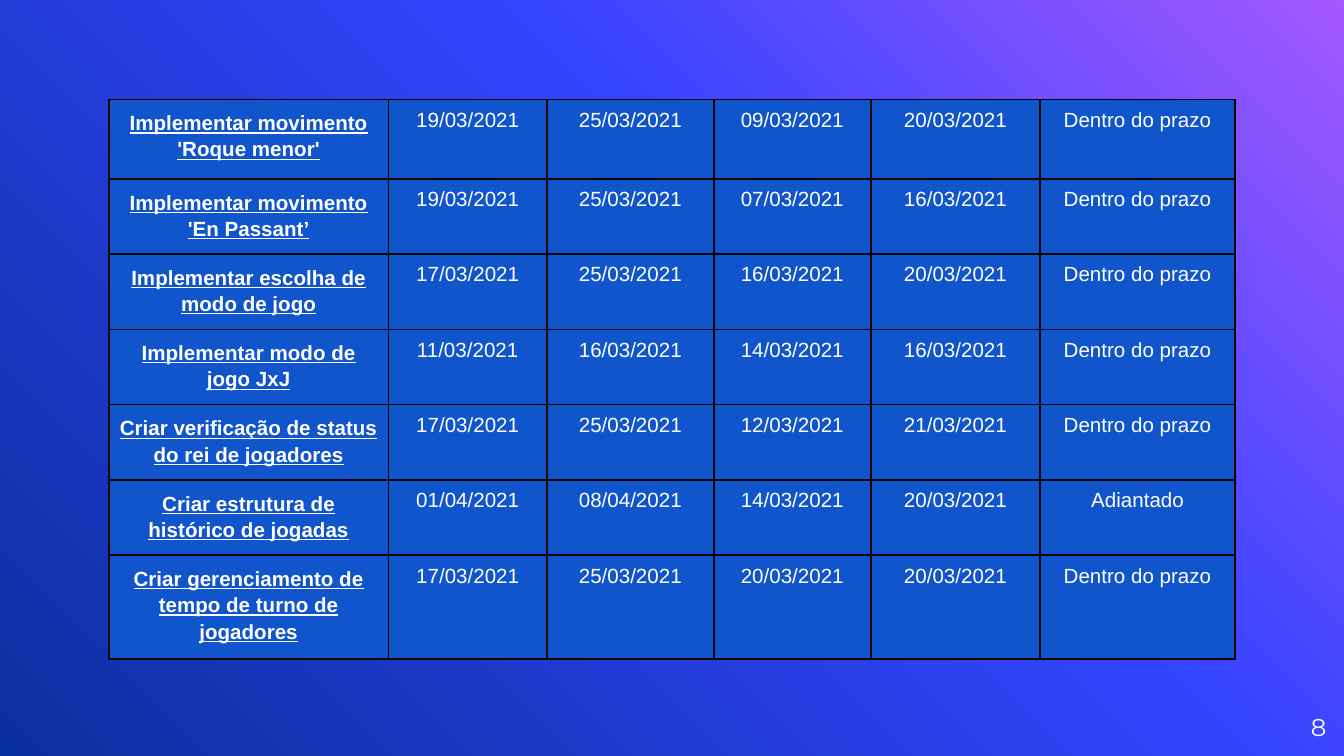
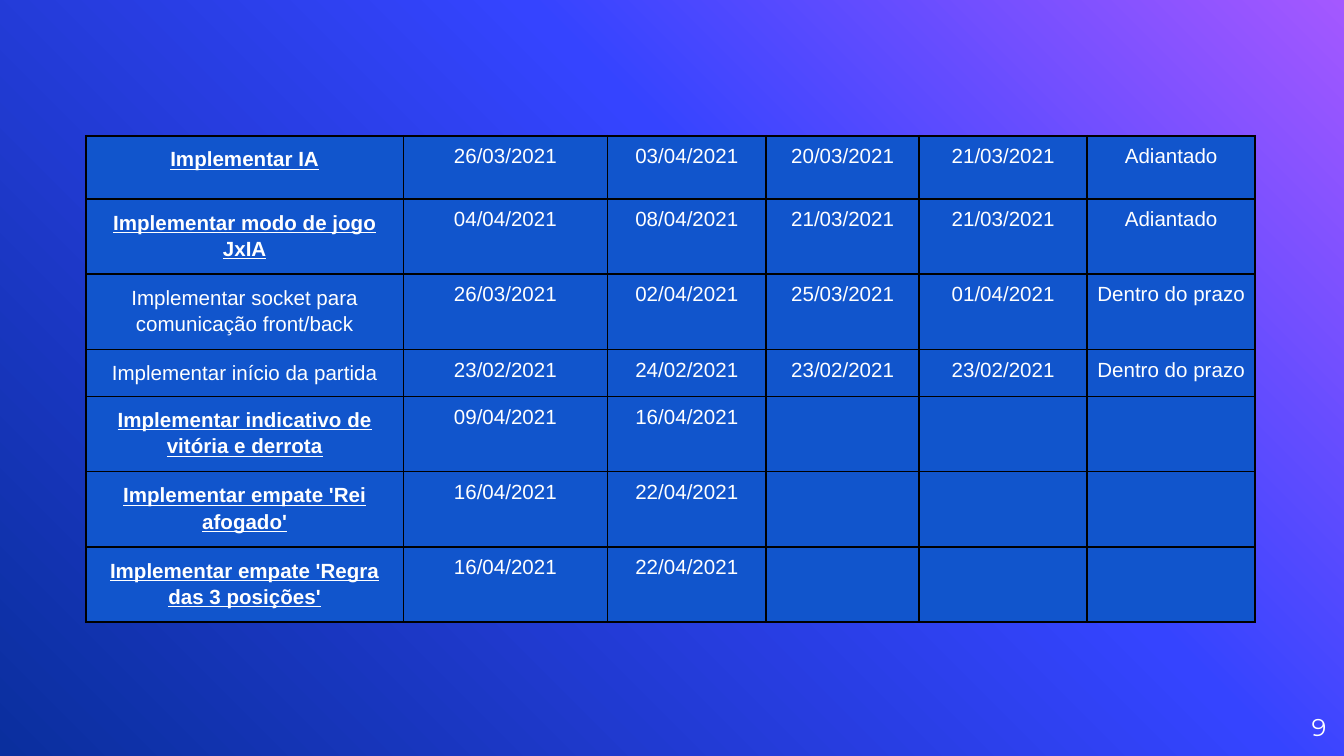
from copy import deepcopy

from pptx import Presentation
from pptx.dml.color import RGBColor
from pptx.enum import text
from pptx.oxml import parse_xml
from pptx.oxml.ns import nsdecls, qn
from pptx.util import Pt

WHITE, BLACK, CELL_BLUE = "FFFFFF", "000000", "1155CC"
BACKGROUND_STOPS = [(0, "A458FF"), (0.39, "3544FF"), (1, "0A2F9E")]
BODY = {"name": "Arial", "size": Pt(11)}
TASK = {**BODY, "bold": True, "underline": True}
PAGE_NUMBER = {"name": "Montserrat", "size": Pt(13)}
CELL = {f"margin_{side}": Pt(5) for side in ("left", "right", "top", "bottom")}

ON_TIME, EARLY = "Dentro do prazo", "Adiantado"

# Each row: task, planned start and end, actual start and end, status
SCHEDULES = [
    {
        "page": 8, "left": 58.3, "top": 53.3,
        "widths": [149.8, 85, 89.3, 84.2, 90.7, 104.4],
        "heights": [42.5, 38.2, 40.3, 38.2, 38.2, 38.2, 38.2],
        "plain_tasks": [],
        "rows": [
            ("Implementar movimento 'Roque menor'",
             "19/03/2021", "25/03/2021", "09/03/2021", "20/03/2021", ON_TIME),
            ("Implementar movimento 'En Passant’",
             "19/03/2021", "25/03/2021", "07/03/2021", "16/03/2021", ON_TIME),
            ("Implementar escolha de modo de jogo",
             "17/03/2021", "25/03/2021", "16/03/2021", "20/03/2021", ON_TIME),
            ("Implementar modo de jogo JxJ",
             "11/03/2021", "16/03/2021", "14/03/2021", "16/03/2021", ON_TIME),
            ("Criar verificação de status do rei de jogadores",
             "17/03/2021", "25/03/2021", "12/03/2021", "21/03/2021", ON_TIME),
            ("Criar estrutura de histórico de jogadas",
             "01/04/2021", "08/04/2021", "14/03/2021", "20/03/2021", EARLY),
            ("Criar gerenciamento de tempo de turno de jogadores",
             "17/03/2021", "25/03/2021", "20/03/2021", "20/03/2021", ON_TIME),
        ],
    },
    {
        "page": 9, "left": 46.1, "top": 72.7,
        "widths": [170, 109.4, 85, 82, 90, 90],
        "heights": [33.8, 26.6, 38.2, 22.3, 35.3, 24.5, 39.6],
        "plain_tasks": [2, 3],
        "rows": [
            ("Implementar IA",
             "26/03/2021", "03/04/2021", "20/03/2021", "21/03/2021", EARLY),
            ("Implementar modo de jogo JxIA",
             "04/04/2021", "08/04/2021", "21/03/2021", "21/03/2021", EARLY),
            ("Implementar socket para comunicação front/back",
             "26/03/2021", "02/04/2021", "25/03/2021", "01/04/2021", ON_TIME),
            ("Implementar início da partida",
             "23/02/2021", "24/02/2021", "23/02/2021", "23/02/2021", ON_TIME),
            ("Implementar indicativo de vitória e derrota",
             "09/04/2021", "16/04/2021", "", "", ""),
            ("Implementar empate 'Rei afogado'",
             "16/04/2021", "22/04/2021", "", "", ""),
            ("Implementar empate 'Regra das 3 posições'",
             "16/04/2021", "22/04/2021", "", "", ""),
        ],
    },
]


def rgb(hex_color):
    return RGBColor.from_string(hex_color)


def set_attrs(obj, values):
    for name, value in values.items():
        setattr(obj, name, value)


def write(p, content, font, align):
    p.alignment = align
    if content:
        r = p.add_run()
        r.text = content
        set_attrs(r.font, font)
        r.font.color.rgb = rgb(WHITE)


def set_background(master):
    fill = master.background.fill
    fill.gradient()
    fill.gradient_angle = 225  # counter-clockwise: top right to bottom left
    stops = master.element.find(".//" + qn("a:gsLst"))
    stops.append(deepcopy(stops[0]))
    for stop, (position, color) in zip(fill.gradient_stops, BACKGROUND_STOPS):
        stop.position = position
        stop.color.rgb = rgb(color)


def add_page_number(s, number):
    tf = s.shapes.add_textbox(Pt(667.4), Pt(373.7), Pt(43.2), Pt(31)).text_frame
    set_attrs(tf, {**dict.fromkeys(CELL, 0), "word_wrap": True,
                   "vertical_anchor": text.MSO_ANCHOR.MIDDLE})
    write(tf.paragraphs[0], str(number), PAGE_NUMBER, text.PP_ALIGN.RIGHT)


def add_borders(cell):
    tc_pr = cell._tc.get_or_add_tcPr()
    for side in "LRTB":
        tc_pr.append(parse_xml(
            f'<a:ln{side} {nsdecls("a")} w="{Pt(1)}"><a:solidFill>'
            f'<a:srgbClr val="{BLACK}"/></a:solidFill></a:ln{side}>'))


def format_cell(cell, content, font, line_spacing):
    set_attrs(cell, CELL)
    add_borders(cell)
    cell.fill.solid()
    cell.fill.fore_color.rgb = rgb(CELL_BLUE)
    p = cell.text_frame.paragraphs[0]
    p.line_spacing = line_spacing
    write(p, content, font, text.PP_ALIGN.CENTER)


def add_schedule(s, schedule):
    rows, widths, heights = (schedule[k] for k in ("rows", "widths", "heights"))
    table = s.shapes.add_table(
        len(rows), len(widths), Pt(schedule["left"]), Pt(schedule["top"]),
        Pt(sum(widths)), Pt(sum(heights))).table
    set_attrs(table, {"first_row": False, "horz_banding": False})
    for column, width in zip(table.columns, widths):
        column.width = Pt(width)
    for i, (row, height) in enumerate(zip(table.rows, heights)):
        row.height = Pt(height)
        task_font = BODY if i in schedule["plain_tasks"] else TASK
        for j, content in enumerate(rows[i]):
            font, spacing = (BODY, None) if j else (task_font, 1.15)
            format_cell(table.cell(i, j), content, font, spacing)


def main():
    prs = Presentation()
    set_attrs(prs, {"slide_width": Pt(720), "slide_height": Pt(405)})
    set_background(prs.slide_master)
    blank = prs.slide_layouts.get_by_name("Blank")
    for schedule in SCHEDULES:
        s = prs.slides.add_slide(blank)
        add_page_number(s, schedule["page"])
        add_schedule(s, schedule)
    prs.save("out.pptx")


if __name__ == "__main__":
    main()
